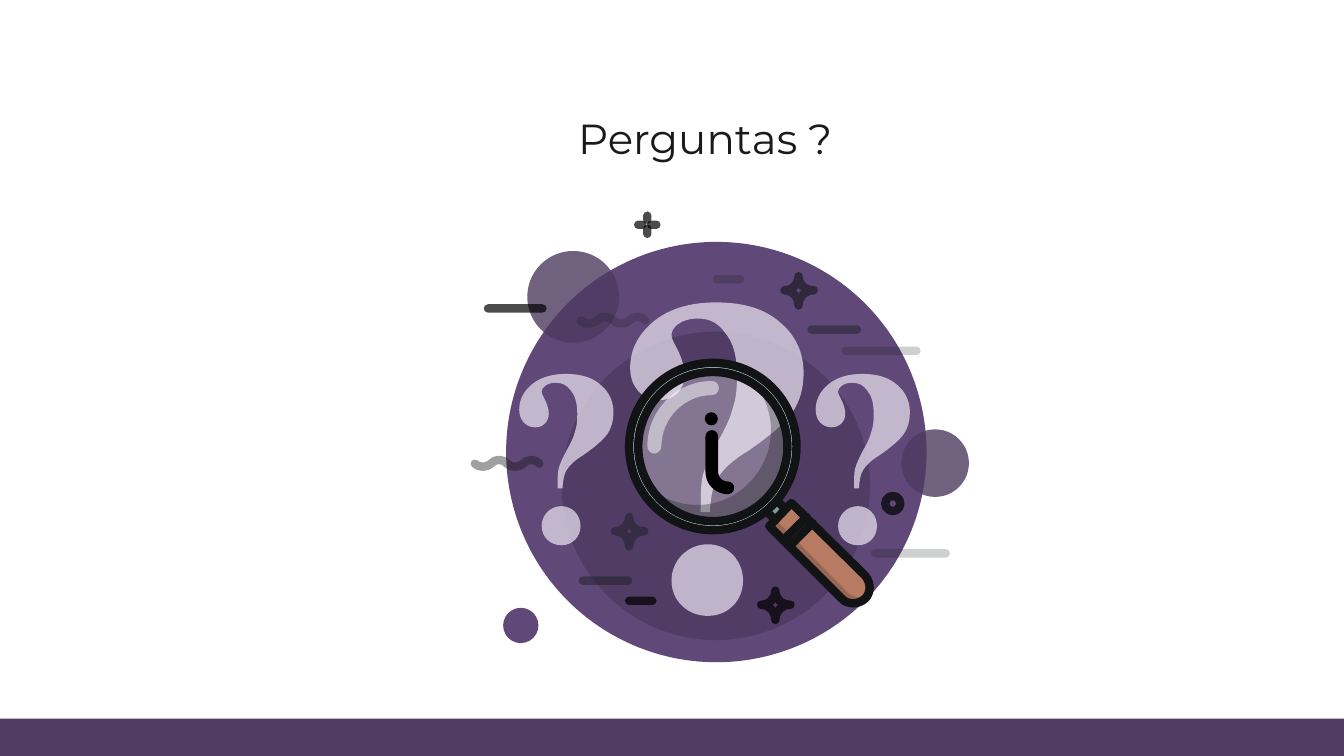
import pptx
import pptx.util
import pptx.dml.color
import pptx.enum.shapes
import pptx.enum.text
import pptx.oxml
import pptx.oxml.ns

Inches = pptx.util.Inches
RGBColor = pptx.dml.color.RGBColor
Kind = pptx.enum.shapes.MSO_SHAPE

PLUM = RGBColor(0x60, 0x48, 0x78)
DEEP = RGBColor(0x4D, 0x3A, 0x60)
BAND = RGBColor(0x51, 0x3C, 0x65)
LILAC = RGBColor(0xDF, 0xD7, 0xE7)
INK = RGBColor(0x11, 0x14, 0x15)
EDGE = RGBColor(0x11, 0x13, 0x15)
BLACK = RGBColor(0, 0, 0)
WHITE = RGBColor(255, 255, 255)
TEXT = RGBColor(0x1A, 0x1A, 0x1A)
COPPER = RGBColor(0xB7, 0x7B, 0x64)
BROWN = RGBColor(0x68, 0x3E, 0x34)
STEEL = RGBColor(0x78, 0x9F, 0x9A)
MINT = RGBColor(0xB8, 0xD1, 0xCD)

DOT = [(0.41, 2.76), (0.41, 2.56, 0.57, 2.4, 0.77, 2.4), (0.97, 2.4, 1.12, 2.56, 1.12, 2.76),
       (1.12, 2.96, 0.97, 3.11, 0.77, 3.11), (0.57, 3.11, 0.41, 2.96, 0.41, 2.76)]
HOOK = [(0.79, 2.08), (0.7, 2.08),
        (0.7, 1.92, 0.7, 1.8, 0.72, 1.72), (0.74, 1.64, 0.79, 1.53, 0.87, 1.38),
        (0.95, 1.24, 1, 1.13, 1.02, 1.04), (1.05, 0.96, 1.06, 0.85, 1.06, 0.73),
        (1.06, 0.53, 1.02, 0.39, 0.94, 0.3), (0.87, 0.2, 0.78, 0.16, 0.67, 0.16),
        (0.59, 0.16, 0.52, 0.18, 0.47, 0.22), (0.43, 0.25, 0.41, 0.29, 0.41, 0.32),
        (0.41, 0.34, 0.42, 0.38, 0.45, 0.43), (0.51, 0.54, 0.54, 0.64, 0.54, 0.72),
        (0.54, 0.79, 0.52, 0.85, 0.47, 0.9), (0.42, 0.95, 0.36, 0.97, 0.29, 0.97),
        (0.21, 0.97, 0.14, 0.94, 0.08, 0.88), (0.03, 0.82, 0, 0.75, 0, 0.65),
        (0, 0.48, 0.07, 0.33, 0.22, 0.2), (0.37, 0.07, 0.58, 0, 0.85, 0),
        (1.14, 0, 1.35, 0.07, 1.5, 0.21), (1.65, 0.34, 1.72, 0.51, 1.72, 0.7),
        (1.72, 0.84, 1.69, 0.97, 1.61, 1.09), (1.53, 1.2, 1.38, 1.33, 1.16, 1.48),
        (1.01, 1.57, 0.92, 1.66, 0.87, 1.74), (0.82, 1.81, 0.8, 1.93, 0.79, 2.08)]
STAR = [(0.14, 0.29), (0.14, 0.21, 0.08, 0.14, 0, 0.14), (0.08, 0.14, 0.14, 0.08, 0.14, 0),
        (0.14, 0.08, 0.2, 0.14, 0.29, 0.14), (0.2, 0.14, 0.14, 0.21, 0.14, 0.29)]
WAVE = [(0, 0.05)] + [(0.16 * n + 0.04, y, 0.16 * n + 0.12, y, 0.16 * n + 0.16, 0.05)
                      for n, y in enumerate((0.09, 0, 0.09, 0))]
GRIP = [(0.03, 0.26), (0.75, 0.98), (0.81, 1.04, 0.91, 1.04, 0.98, 0.98),
        (1.04, 0.92, 1.04, 0.82, 0.98, 0.75), (0.25, 0.03)]
STRAP = [(0.45, 0.23), (0.23, 0.46), (0.17, 0.4), (0.4, 0.17)]
SHADE = [(0.81, 0.92), (0.09, 0.19), (0.25, 0.03), (0.03, 0.26), (0.75, 0.98),
         (0.81, 1.04, 0.91, 1.04, 0.98, 0.98), (0.99, 0.97, 1, 0.96, 1, 0.94),
         (0.94, 0.98, 0.87, 0.97, 0.81, 0.92)]
NECK = [(0.09, 0.2), (0.01, 0.12), (0.11, 0.01), (0.19, 0.09)]
SHINE = [(0.41, 0.92), (0.41, 0.64, 0.64, 0.41, 0.91, 0.41), (0.95, 0.41, 0.98, 0.38, 0.98, 0.34),
         (0.98, 0.3, 0.95, 0.27, 0.91, 0.27), (0.56, 0.27, 0.27, 0.56, 0.27, 0.92),
         (0.27, 0.95, 0.3, 0.99, 0.34, 0.99), (0.38, 0.99, 0.41, 0.95, 0.41, 0.92)]
DUSK = [(1.43, 0.39), (1.41, 0.37, 1.38, 0.34, 1.35, 0.32), (1.57, 0.61, 1.54, 1.02, 1.28, 1.28),
        (1.02, 1.55, 0.61, 1.57, 0.32, 1.35), (0.34, 1.38, 0.36, 1.41, 0.39, 1.44),
        (0.68, 1.73, 1.15, 1.73, 1.43, 1.44), (1.72, 1.15, 1.72, 0.68, 1.43, 0.39)]
STEM = [(0.23, 0.75), (0.14, 0.75, 0.07, 0.68, 0.07, 0.59), (0.07, 0.24)]


def fade(node, solid):
    """Set the opacity in percent of the colour inside a node."""
    if solid < 100:
        tint = node.find(".//" + pptx.oxml.ns.qn("a:srgbClr"))
        tint.append(pptx.oxml.parse_xml('<a:alpha %s val="%d"/>' % (pptx.oxml.ns.nsdecls("a"), solid * 1000)))


def stroke(line, color, solid, width):
    """Give a line its colour, opacity, width and round ends."""
    line.color.rgb = color
    line.width = pptx.util.Pt(width)
    node = line._get_or_add_ln()
    node.set("cap", "rnd")
    node.append(pptx.oxml.parse_xml("<a:round %s/>" % pptx.oxml.ns.nsdecls("a")))
    fade(node, solid)


def paint(shape, fill=None, solid=100, line=None, width=6):
    """Fill and outline a shape without shadow."""
    shape.shadow.inherit = False
    if fill is None:
        shape.fill.background()
    else:
        shape.fill.solid()
        shape.fill.fore_color.rgb = fill
        fade(shape.fill._xPr, solid)
    if line is None:
        shape.line.fill.background()
    else:
        stroke(shape.line, line, solid, width)


def bend(shape, paths):
    """Merge the three line steps of each curve into one cubic curve."""
    steps = iter(list(shape._element.iter(pptx.oxml.ns.qn("a:lnTo"))))
    for part in (part for path in paths for part in path[1:]):
        first = next(steps)
        if len(part) == 6:
            first.tag = pptx.oxml.ns.qn("a:cubicBezTo")
            for step in (next(steps), next(steps)):
                first.append(step[0])
                step.getparent().remove(step)


def form(shapes, x, y, paths, closed=True, sx=1, sy=1, **look):
    """Draw curved outlines from a corner at a given scale."""
    build = None
    for path in paths:
        points = [(Inches(x + part[i] * sx), Inches(y + part[i + 1] * sy))
                  for part in path for i in range(0, len(part), 2)]
        if build is None:
            build = shapes.build_freeform(*points[0], scale=1.0)
        else:
            build.move_to(*points[0])
        build.add_line_segments(points[1:], close=closed)
    shape = build.convert_to_shape()
    bend(shape, paths)
    paint(shape, **look)


def disc(shapes, x, y, size, kind=Kind.OVAL, **look):
    """Draw a round shape in a square box."""
    shape = shapes.add_shape(kind, Inches(x), Inches(y), Inches(size), Inches(size))
    paint(shape, **look)
    return shape


def dash(shapes, x, y, dx, dy, color, solid=100):
    """Draw a thick round-ended line."""
    ends = [Inches(v) for v in (x, y, x + dx, y + dy)]
    link = shapes.add_connector(pptx.enum.shapes.MSO_CONNECTOR.STRAIGHT, *ends)
    stroke(link.line, color, solid, 6)
    link._element.spPr.append(pptx.oxml.parse_xml("<a:effectLst %s/>" % pptx.oxml.ns.nsdecls("a")))


def title(shapes, x, y, w, h):
    """Write the centred title."""
    frame = shapes.add_textbox(Inches(x), Inches(y), Inches(w), Inches(h)).text_frame
    frame.word_wrap = True
    para = frame.paragraphs[0]
    para.alignment = pptx.enum.text.PP_ALIGN.CENTER
    run = para.add_run()
    run.text = "Perguntas ?"
    run.font.size = pptx.util.Pt(30)
    run.font.name = "Montserrat"
    run.font.color.rgb = TEXT


def discs(shapes, x, y):
    """Draw the purple discs behind the scene."""
    for dx, dy, size, fill, solid in ((0.31, 0.26, 4.17, PLUM, 100), (0.86, 1.15, 3.06, DEEP, 80),
                                      (0.52, 0.35, 0.91, DEEP, 80), (4.23, 2.12, 0.67, DEEP, 80),
                                      (0.28, 3.89, 0.35, PLUM, 100)):
        disc(shapes, x + dx, y + dy, size, fill=fill, solid=solid)


def marks(shapes, x, y):
    """Scatter the plus, waves, dashes, stars and ring."""
    plus = shapes.add_group_shape().shapes
    for dx, dy, w, h in ((0.09, 0, 0, 0.04), (0, 0.09, 0.04, 0), (0.09, 0.13, 0, 0.05), (0.13, 0.09, 0.05, 0)):
        dash(plus, x + 1.62 + dx, y + dy, w, h, BLACK, 70)
    for dx, dy, solid in ((0, 2.41, 40), (1.05, 0.99, 20)):
        form(shapes, x + dx, y + dy, [WAVE], closed=False, line=INK, solid=solid)
    for dx, dy, w, color, solid in ((1.07, 3.62, 0.45, INK, 40), (3.34, 1.13, 0.45, INK, 40),
                                    (2.4, 0.63, 0.23, INK, 20), (1.53, 3.82, 0.23, BLACK, 70),
                                    (0.13, 0.92, 0.54, BLACK, 70), (3.68, 1.34, 0.7, INK, 20),
                                    (3.97, 3.35, 0.7, INK, 20)):
        dash(shapes, x + dx, y + dy, w, 0, color, solid)
    for dx, dy, color, solid in ((1.39, 2.99, INK, 40), (3.07, 0.6, INK, 60), (2.84, 3.72, BLACK, 70)):
        form(shapes, x + dx, y + dy, [STAR], line=color, solid=solid)
    disc(shapes, x + 4.07, y + 2.78, 0.15, line=BLACK, solid=70)


def query(shapes, x, y, w, h):
    """Draw a question mark that fills its box."""
    form(shapes, x, y, [DOT, HOOK], sx=w / 1.73, sy=h / 3.11, fill=LILAC, solid=78)


def handle(shapes, x, y):
    """Draw the handle of the magnifier."""
    for path, fill, solid in ((GRIP, COPPER, 100), (STRAP, BROWN, 100), (SHADE, INK, 20), (NECK, STEEL, 100)):
        form(shapes, x, y, [path], fill=fill, solid=solid)
    for dx, dy in ((0, 0.11), (0.1, 0)):
        dash(shapes, x + dx, y + dy, 0.09, 0.09, EDGE)
    form(shapes, x, y, [GRIP], line=EDGE)
    for dx, dy in ((0.17, 0.4), (0.23, 0.46)):
        dash(shapes, x + dx, y + dy, 0.23, -0.23, EDGE)


def lens(shapes, x, y):
    """Draw the glass and rims of the magnifier."""
    disc(shapes, x + 0.18, y + 0.18, 1.48, fill=WHITE, solid=30)
    ring = disc(shapes, x + 0.08, y + 0.09, 1.67, kind=Kind.DONUT, fill=MINT)
    ring.adjustments[0] = 0.06
    form(shapes, x, y, [SHINE], fill=WHITE, solid=50)
    form(shapes, x, y, [DUSK], fill=INK, solid=30)
    for inset, size in ((0.09, 1.66), (0.18, 1.48)):
        disc(shapes, x + inset, y + inset, size, line=EDGE)


def letter(shapes, x, y):
    """Draw the letter i inside the lens."""
    form(shapes, x, y, [STEM], closed=False, line=BLACK, width=9)
    disc(shapes, x, y, 0.13, fill=BLACK)


def scene(shapes, x, y):
    """Draw the whole illustration from its corner."""
    discs(shapes, x, y)
    marks(shapes, x, y)
    for dx, dy, w, h in ((1.54, 0.86, 1.73, 3.11), (3.38, 1.57, 0.94, 1.7), (0.44, 1.57, 0.94, 1.7)):
        query(shapes, x + dx, y + dy, w, h)
    for draw, dx, dy in ((handle, 2.89, 2.82), (lens, 1.44, 1.37), (letter, 2.28, 1.95)):
        draw(shapes.add_group_shape().shapes, x + dx, y + dy)


def main():
    """Build and save the slide."""
    deck = pptx.Presentation()
    deck.slide_width, deck.slide_height = Inches(13.33), Inches(7.5)
    shapes = deck.slides.add_slide(deck.slide_layouts[6]).shapes
    title(shapes, 4.43, 1.07, 5.13, 0.61)
    scene(shapes, 4.71, 2.14)
    strip = shapes.add_shape(Kind.RECTANGLE, 0, Inches(7.13), Inches(13.33), Inches(0.37))
    paint(strip, fill=BAND)
    deck.save("out.pptx")


if __name__ == "__main__":
    main()
